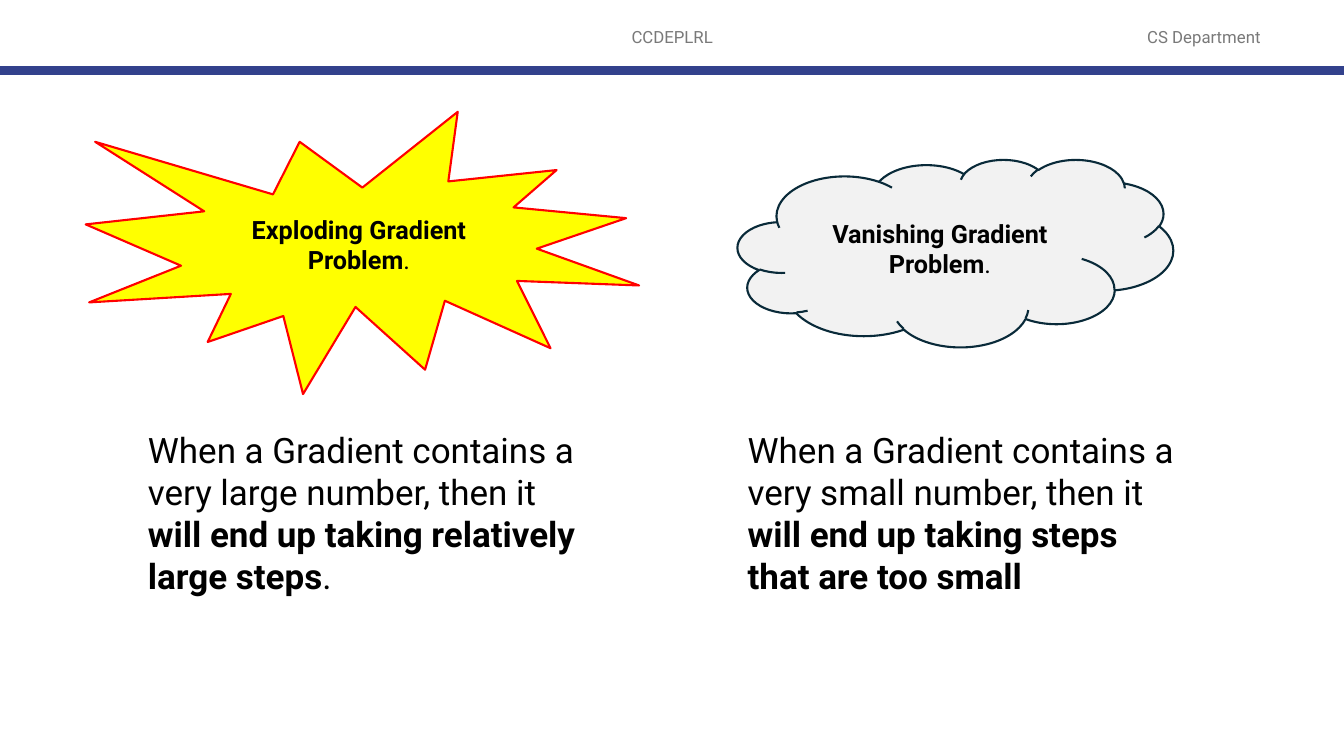
"""Build a slide contrasting the exploding and vanishing gradient problems."""
from dataclasses import dataclass

from lxml import etree
from pptx import Presentation
from pptx import util as u
from pptx.dml.color import RGBColor
from pptx.enum import shapes, text
from pptx.oxml import ns
from pptx.slide import Slide
from pptx.text.text import TextFrame

FONT = "Roboto"
BLACK = "000000"
GREY = "797979"
NAVY = "32418C"
SLIDE_WIDTH, SLIDE_HEIGHT = 960, 540
RULE_TOP = 50.4
CAPTION_TOP, CAPTION_WIDTH, CAPTION_HEIGHT = 302.4, 320.4, 128.2


@dataclass(frozen=True)
class Box:
    left: float
    top: float
    width: float
    height: float

    def lengths(self) -> tuple[u.Length, ...]:
        return tuple(u.Pt(value) for value in (self.left, self.top, self.width, self.height))


@dataclass(frozen=True)
class Span:
    wording: str
    bold: bool = False


@dataclass(frozen=True)
class Label:
    wording: str
    box: Box


@dataclass(frozen=True)
class Problem:
    name: str
    preset: shapes.MSO_SHAPE
    box: Box
    fill: str
    outline: str
    caption_left: float
    caption: tuple[Span, ...]


LABELS = (
    Label("CCDEPLRL", Box(318.2, 12.2, 324, 28.8)),
    Label("CS Department", Box(786.2, 12.2, 147.6, 28.8)),
)

PROBLEMS = (
    Problem(
        "Exploding Gradient Problem", shapes.MSO_SHAPE.EXPLOSION1,
        Box(61.2, 79.9, 395.3, 201.6), "FFFF00", "FF0000", 98.6,
        (
            Span("When a Gradient contains a very large number, then it "),
            Span("will end up taking relatively large steps", True),
            Span("."),
        ),
    ),
    Problem(
        "Vanishing Gradient Problem", shapes.MSO_SHAPE.CLOUD,
        Box(527, 113.8, 311, 133.9), "F2F2F2", "092A39", 527,
        (
            Span("When a Gradient contains a very small number, then it "),
            Span("will end up taking steps that are too small", True),
        ),
    ),
)


def colour(value: str) -> RGBColor:
    return RGBColor.from_string(value)


def write(frame: TextFrame, spans: tuple[Span, ...], size: float, ink: str = BLACK,
          align: text.PP_ALIGN = text.PP_ALIGN.LEFT,
          anchor: text.MSO_ANCHOR = text.MSO_ANCHOR.TOP) -> None:
    frame.word_wrap = True
    frame.vertical_anchor = anchor
    paragraph = frame.paragraphs[0]
    paragraph.alignment = align
    paragraph.font.name = FONT
    paragraph.font.size = u.Pt(size)
    paragraph.font.color.rgb = colour(ink)
    for span in spans:
        run = paragraph.add_run()
        run.text = span.wording
        if span.bold:
            run.font.bold = True


def draw_header(slide: Slide) -> None:
    for label in LABELS:
        shape = slide.shapes.add_textbox(*label.box.lengths())
        write(shape.text_frame, (Span(label.wording),), 12, GREY,
              text.PP_ALIGN.CENTER, text.MSO_ANCHOR.MIDDLE)
    rule = slide.shapes.add_connector(
        shapes.MSO_CONNECTOR.STRAIGHT,
        u.Pt(0), u.Pt(RULE_TOP), u.Pt(SLIDE_WIDTH), u.Pt(RULE_TOP))
    rule.line.color.rgb = colour(NAVY)
    rule.line.width = u.Pt(6)
    etree.SubElement(rule._element.spPr, ns.qn("a:effectLst"))


def draw_problem(slide: Slide, problem: Problem) -> None:
    shape = slide.shapes.add_shape(problem.preset, *problem.box.lengths())
    shape.shadow.inherit = False
    shape.fill.solid()
    shape.fill.fore_color.rgb = colour(problem.fill)
    shape.line.color.rgb = colour(problem.outline)
    shape.line.width = u.Pt(1.5)
    write(shape.text_frame, (Span(problem.name, True), Span(".")), 18,
          align=text.PP_ALIGN.CENTER, anchor=text.MSO_ANCHOR.MIDDLE)

    box = Box(problem.caption_left, CAPTION_TOP, CAPTION_WIDTH, CAPTION_HEIGHT)
    caption = slide.shapes.add_textbox(*box.lengths())
    write(caption.text_frame, problem.caption, 25)
    caption.text_frame.auto_size = text.MSO_AUTO_SIZE.SHAPE_TO_FIT_TEXT


def main() -> None:
    presentation = Presentation()
    presentation.slide_width = u.Pt(SLIDE_WIDTH)
    presentation.slide_height = u.Pt(SLIDE_HEIGHT)
    slide = presentation.slides.add_slide(presentation.slide_layouts.get_by_name("Blank"))
    draw_header(slide)
    for problem in PROBLEMS:
        draw_problem(slide, problem)
    presentation.save("out.pptx")


if __name__ == "__main__":
    main()
